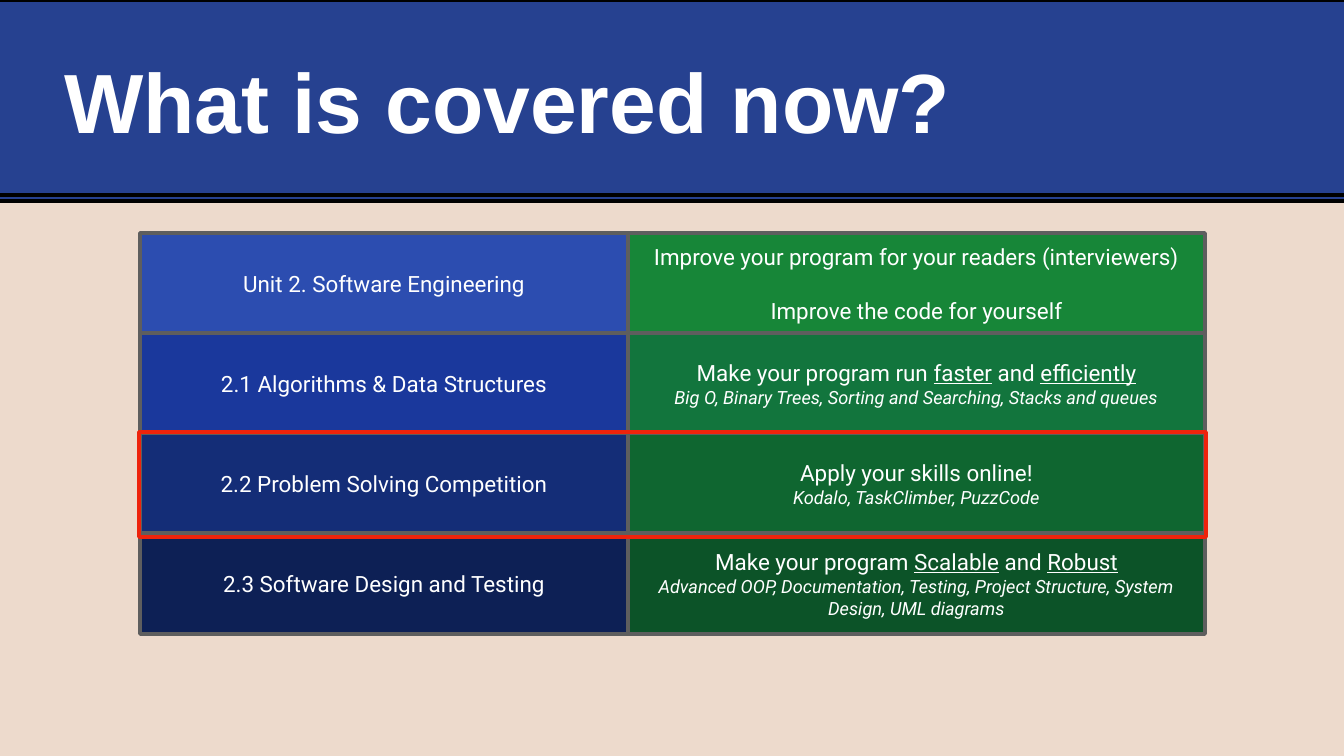
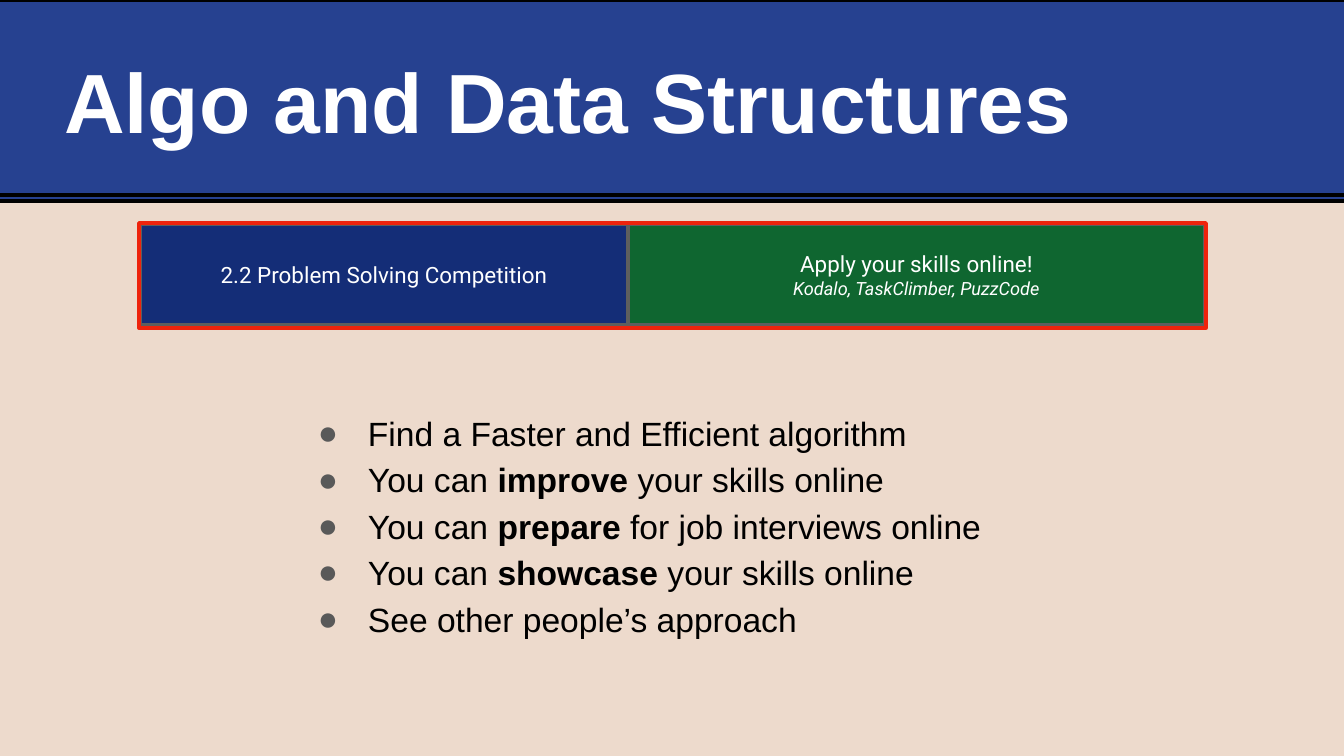
from dataclasses import dataclass
from lxml.etree import SubElement as Sub
from pptx import Presentation
from pptx.dml.color import RGBColor as RGB
from pptx.enum.shapes import MSO_CONNECTOR as Link, MSO_SHAPE as Form
from pptx.enum.text import MSO_ANCHOR as Anchor, PP_ALIGN as Align
from pptx.oxml.ns import qn
from pptx.util import Pt


@dataclass(frozen=True)
class Theme:
    page: str = "EDDACC"
    band: str = "264190"
    black: str = "000000"
    white: str = "FFFFFF"
    edge: str = "5E5E5E"
    mark: str = "EE230C"
    dot: str = "595959"
    blues: tuple = ("2C4DB0", "1A389C", "142D77", "0D2055")
    greens: tuple = ("178638", "12753D", "0F6630", "0C5328")
    sans: str = "Arial"
    label: str = "Roboto"
    title: int = 120
    body: int = 48
    main: int = 32
    small: int = 26
    thick: int = 6
    thin: int = 5


UNIT = 914400 / 50.4
LEFT, MID, WIDE, WIDER, TALL = 140, 628, 488, 577, 101
LINE = {"underline": True}
BOLD = {"bold": True}
SLANT = {"italic": True}


def px(*nums):
    return [round(n * UNIT) for n in nums]


def apply(item, **vals):
    for key, val in vals.items():
        setattr(item, key, val)


@dataclass
class Deck:
    """Draws the parts of each slide in one shared style."""
    show: object
    look: Theme
    slide: object = None

    def page(self, title):
        look = self.look
        self.slide = self.show.slides.add_slide(self.show.slide_layouts[6])
        fill = self.slide.background.fill
        fill.solid()
        fill.fore_color.rgb = RGB.from_string(look.page)
        self.rect(-11, 0, 1373, 201, look.band, look.black, look.thick)
        self.rule(-21, 195, 1355)
        head = self.text(50, 32, 1252, 136, Anchor.MIDDLE)
        self.para(head, [(title, BOLD)], look.title, look.sans, look.white)

    def rect(self, x, y, w, h, fill, line, width):
        shape = self.slide.shapes.add_shape(Form.RECTANGLE, *px(x, y, w, h))
        shape.shadow.inherit = False
        if fill:
            shape.fill.solid()
            shape.fill.fore_color.rgb = RGB.from_string(fill)
        else:
            shape.fill.background()
        self.stroke(shape, line, width)
        return shape

    def stroke(self, shape, color, width):
        shape.line.color.rgb = RGB.from_string(color)
        shape.line.width = Pt(width)

    def rule(self, x, y, end):
        line = self.slide.shapes.add_connector(Link.STRAIGHT, *px(x, y, end, y))
        self.stroke(line, self.look.black, self.look.thick)
        Sub(line._element.spPr, qn("a:effectLst"))

    def setup(self, frame, pad, anchor):
        pad = px(pad)[0]
        apply(frame, word_wrap=True, vertical_anchor=anchor, margin_left=pad,
              margin_right=pad, margin_top=pad, margin_bottom=pad)
        return frame

    def text(self, x, y, w, h, anchor):
        box = self.slide.shapes.add_textbox(*px(x, y, w, h))
        return self.setup(box.text_frame, 14, anchor)

    def para(self, frame, runs, size, face, color, **form):
        para = frame.paragraphs[0]
        if para.runs:
            para = frame.add_paragraph()
        apply(para, **form)
        for words, style in runs:
            run = para.add_run()
            run.text = words
            apply(run.font, name=face, size=Pt(size), **style)
            run.font.color.rgb = RGB.from_string(color)
        return para

    def cell(self, x, y, w, fill, paras, gap=0):
        look = self.look
        shape = self.rect(x, y, w, TALL, fill, look.edge, look.thin)
        frame = self.setup(shape.text_frame, 3, Anchor.MIDDLE)
        for runs in paras:
            size = look.small if runs[0][1] == SLANT else look.main
            self.para(frame, runs, size, look.label, look.white,
                      alignment=Align.CENTER, space_after=Pt(gap))
        frame.paragraphs[-1].space_after = Pt(0)

    def row(self, num, y):
        name, paras, gap = UNITS[num]
        self.cell(LEFT, y, WIDE, self.look.blues[num], [[(name, {})]])
        self.cell(MID, y, WIDER, self.look.greens[num], paras, gap)

    def frame(self, y):
        self.rect(LEFT - 1, y - 1, WIDE + WIDER + 2, TALL + 4, None,
                  self.look.mark, self.look.thin)

    def bullets(self, x, y, w, h, items):
        look = self.look
        frame = self.text(x, y, w, h, Anchor.TOP)
        for runs in items:
            para = self.para(frame, runs, look.body, look.sans, look.black,
                             line_spacing=1.15)
            props = para._p.get_or_add_pPr()
            left, hang = px(56, -50)
            props.set("marL", str(left))
            props.set("indent", str(hang))
            tint = Sub(props, qn("a:buClr"))
            Sub(tint, qn("a:srgbClr"), val=look.dot)
            Sub(props, qn("a:buFont"), typeface=look.sans)
            Sub(props, qn("a:buChar"), char="●")


def pair(start, one, two):
    return [(start, {}), (one, LINE), (" and ", {}), (two, LINE)]


def can(verb, rest):
    return [("You can ", {}), (verb, BOLD), (rest, {})]


UNITS = [
    ("Unit 2. Software Engineering", [
        [("Improve your program for your readers (interviewers)", {})],
        [("Improve the code for yourself", {})]], 38),
    ("2.1 Algorithms & Data Structures", [
        pair("Make your program run ", "faster", "efficiently"),
        [("Big O, Binary Trees, Sorting and Searching, Stacks and queues",
          SLANT)]], 0),
    ("2.2 Problem Solving Competition", [
        [("Apply your skills online!", {})],
        [("Kodalo, TaskClimber, PuzzCode", SLANT)]], 0),
    ("2.3 Software Design and Testing", [
        pair("Make your program ", "Scalable", "Robust"),
        [("Advanced OOP, Documentation, Testing, Project Structure, "
          "System Design, UML diagrams", SLANT)]], 0),
]
FOCUS = 2

show = Presentation()
show.slide_width, show.slide_height = px(1344, 756)
deck = Deck(show, Theme())

deck.page("What is covered now?")
for num in range(len(UNITS)):
    deck.row(num, 233 + 100 * num)
deck.frame(233 + 100 * FOCUS)

deck.page("Algo and Data Structures")
deck.bullets(298, 393, 755, 260, [
    [("Find a Faster and Efficient algorithm", {})],
    can("improve", " your skills online"),
    can("prepare", " for job interviews online"),
    can("showcase", " your skills online"),
    [("See other people’s approach", {})],
])
deck.row(FOCUS, 224)
deck.frame(224)

show.save("out.pptx")
